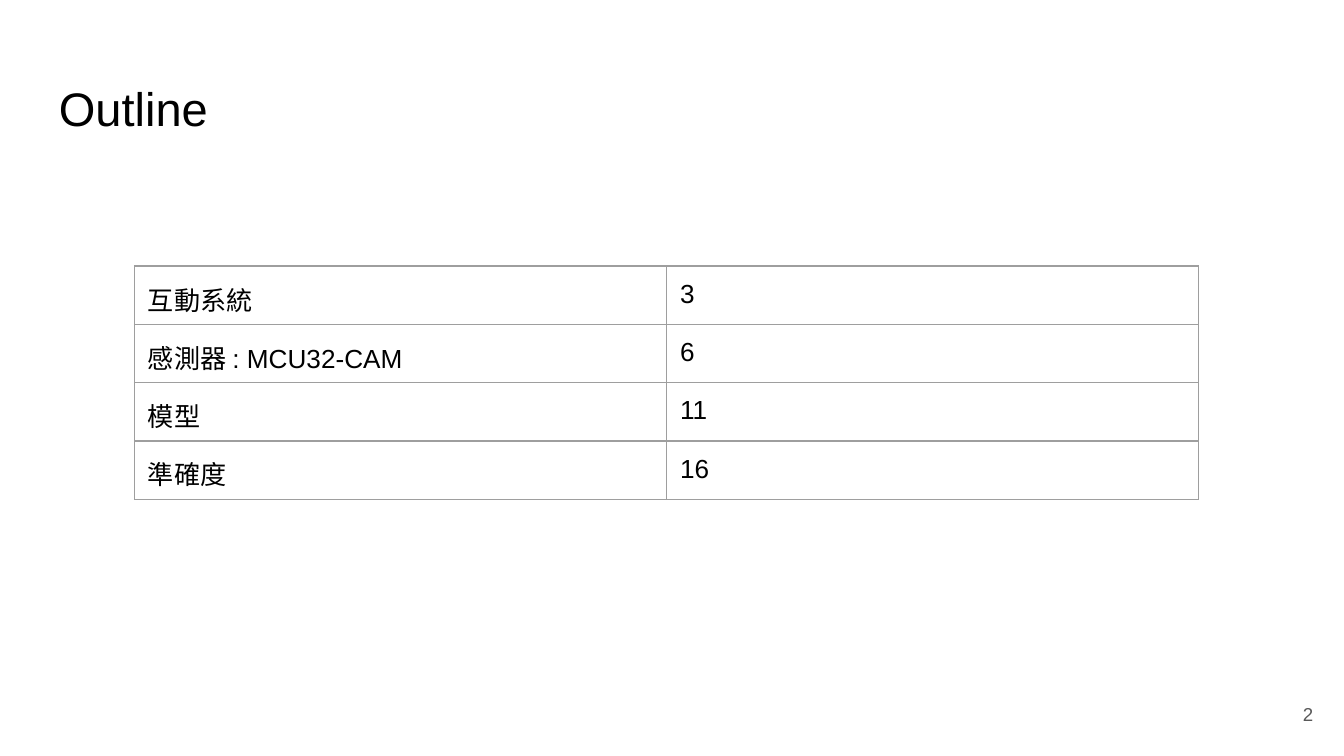
from lxml.etree import SubElement
from pptx import Presentation
from pptx.dml.color import RGBColor
from pptx.enum.text import MSO_ANCHOR, PP_ALIGN
from pptx.oxml.ns import qn
from pptx.util import Inches, Pt

BLACK = RGBColor(0x00, 0x00, 0x00)
GRAY = RGBColor(0x59, 0x59, 0x59)
BORDER = RGBColor(0x9E, 0x9E, 0x9E)
OUTLINE = [
    ("互動系統", "3"),
    ("感測器 : MCU32-CAM", "6"),
    ("模型", "11"),
    ("準確度", "16"),
]


def write_text(text_frame, text, size=14, color=BLACK, align=PP_ALIGN.LEFT):
    paragraph = text_frame.paragraphs[0]
    paragraph.alignment = align
    run = paragraph.add_run()
    run.text = text
    run.font.name = "Arial"
    run.font.size = Pt(size)
    run.font.color.rgb = color


class SlideBuilder:
    """Holds the slide and its shared style, and adds each kind of element."""

    margin = Inches(0.1)
    border_width = Pt(0.75)

    def __init__(self, slide):
        self.slide = slide

    def set_margins(self, target):
        for side in ("left", "top", "right", "bottom"):
            setattr(target, f"margin_{side}", self.margin)

    def add_text(self, text, left, top, width, height, anchor=MSO_ANCHOR.TOP, **text_format):
        shape = self.slide.shapes.add_textbox(
            Inches(left), Inches(top), Inches(width), Inches(height))
        text_frame = shape.text_frame
        text_frame.word_wrap = True
        text_frame.vertical_anchor = anchor
        self.set_margins(text_frame)
        write_text(text_frame, text, **text_format)

    def add_borders(self, cell):
        properties = cell._tc.get_or_add_tcPr()
        for index, side in enumerate(("lnL", "lnR", "lnT", "lnB")):
            line = SubElement(properties, qn(f"a:{side}"), w=str(self.border_width))
            fill = SubElement(line, qn("a:solidFill"))
            SubElement(fill, qn("a:srgbClr"), val=str(BORDER))
            properties.insert(index, line)

    def add_table(self, rows, left, top, column_width, row_height):
        columns = len(rows[0])
        table = self.slide.shapes.add_table(
            len(rows), columns, Inches(left), Inches(top),
            Inches(column_width * columns), Inches(row_height * len(rows))).table
        table.first_row = False
        table.horz_banding = False
        for row_index, row in enumerate(rows):
            for column_index, text in enumerate(row):
                cell = table.cell(row_index, column_index)
                self.set_margins(cell)
                cell.fill.background()
                self.add_borders(cell)
                write_text(cell.text_frame, text)


def main():
    presentation = Presentation()
    presentation.slide_width = Inches(10)
    presentation.slide_height = Inches(10 * 9 / 16)
    builder = SlideBuilder(presentation.slides.add_slide(presentation.slide_layouts[6]))
    builder.add_text("Outline", 0.34, 0.49, 9.32, 0.63, size=25.2)
    builder.add_table(OUTLINE, 1, 1.98, column_width=3.96, row_height=0.42)
    builder.add_text("2", 9.27, 5.1, 0.6, 0.43, anchor=MSO_ANCHOR.MIDDLE,
                     size=10, color=GRAY, align=PP_ALIGN.RIGHT)
    presentation.save("out.pptx")


if __name__ == "__main__":
    main()
